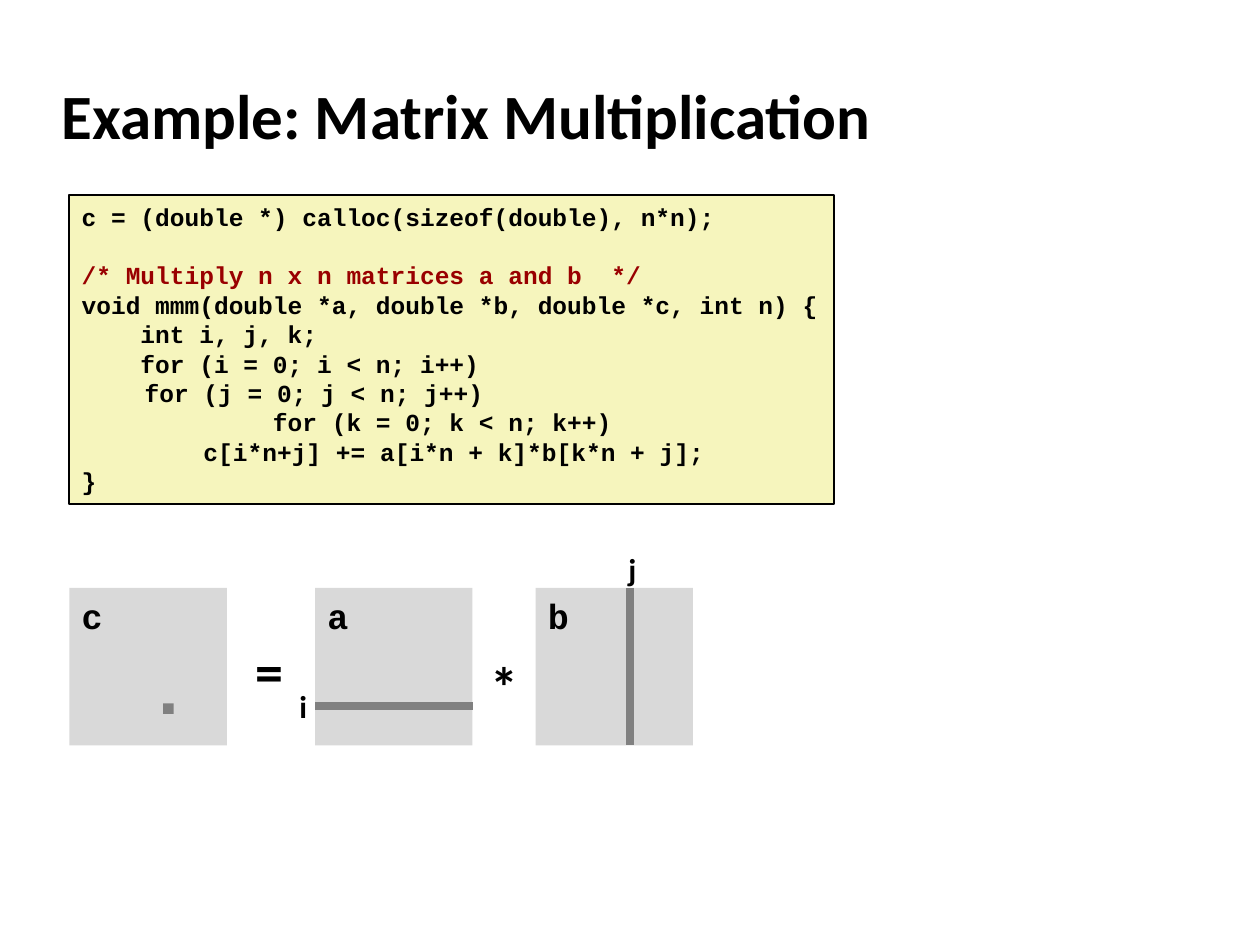
from lxml import etree
from pptx import Presentation
from pptx.dml.color import RGBColor
from pptx.enum import shapes, text
from pptx.oxml.ns import qn
from pptx.util import Pt

BLACK = RGBColor(0x00, 0x00, 0x00)
RED = RGBColor(0x99, 0x00, 0x00)
CREAM = RGBColor(0xF6, 0xF5, 0xBD)
LIGHT = RGBColor(0xD9, 0xD9, 0xD9)
GRAY = RGBColor(0x80, 0x80, 0x80)

CODE = """c = (double *) calloc(sizeof(double), n*n);

/* Multiply n x n matrices a and b  */
void mmm(double *a, double *b, double *c, int n) {
    int i, j, k;
    for (i = 0; i < n; i++)
\tfor (j = 0; j < n; j++)
             for (k = 0; k < n; k++)
\t    c[i*n+j] += a[i*n + k]*b[k*n + j];
}"""


def add_run(p, words, font, size, color=BLACK):
    p.alignment = text.PP_ALIGN.LEFT
    r = p.add_run()
    r.text = words
    r.font.name, r.font.size, r.font.bold = font, Pt(size), True
    r.font.color.rgb = color


def add_box(x, y, w, h, fill):
    """Add a flat rectangle without an outline."""
    sp = s.shapes.add_shape(shapes.MSO_SHAPE.RECTANGLE, Pt(x), Pt(y), Pt(w), Pt(h))
    sp.shadow.inherit = False
    sp.fill.solid()
    sp.fill.fore_color.rgb = fill
    sp.line.fill.background()
    sp.text_frame.vertical_anchor = text.MSO_ANCHOR.TOP
    return sp


prs = Presentation()
prs.slide_width, prs.slide_height = Pt(720), Pt(540)
s = prs.slides.add_slide(prs.slide_layouts[5])

title = s.shapes.title
title.left, title.top, title.width, title.height = Pt(28), Pt(35.5), Pt(598), Pt(60)
title.text_frame.vertical_anchor = text.MSO_ANCHOR.MIDDLE
add_run(title.text_frame.paragraphs[0], "Example: Matrix Multiplication", "Calibri", 36)

# Matrices, with the row, column and element in use
SIDE, TOP = 90, 336
C_X, A_X, B_X = 39.6, 180, 306
ROW_Y, COLUMN_X = 403.2, 360
for name, x in (("c", C_X), ("a", A_X), ("b", B_X)):
    matrix = add_box(x, TOP, SIDE, SIDE, LIGHT)
    add_run(matrix.text_frame.paragraphs[0], name, "Courier New", 20)
add_box(93.3, 402, 6, 6, GRAY)

for x1, y1, x2, y2 in ((A_X, ROW_Y, A_X + SIDE, ROW_Y),
                       (COLUMN_X, TOP, COLUMN_X, TOP + SIDE)):
    line = s.shapes.add_connector(shapes.MSO_CONNECTOR.STRAIGHT,
                                  Pt(x1), Pt(y1), Pt(x2), Pt(y2))
    line.line.color.rgb = GRAY
    line.line.width = Pt(4.5)
    etree.SubElement(line._element.spPr, qn("a:effectLst"))

for words, x, y, w, h, size in (("i", 164, 389, 19, 29, 18),
                                ("j", 352, 310.5, 19, 29, 18),
                                ("*", 273, 368.5, 31, 46, 32),
                                ("=", 139, 360, 31, 46, 32)):
    label = s.shapes.add_textbox(Pt(x), Pt(y), Pt(w), Pt(h))
    label.text_frame.word_wrap = False
    add_run(label.text_frame.paragraphs[0], words, "Calibri", size)

# Code listing
listing = add_box(C_X, 111.6, 437, 176.4, CREAM)
listing.line.color.rgb = BLACK
listing.line.width = Pt(1)
tf = listing.text_frame
tf.word_wrap = False
tf.auto_size = text.MSO_AUTO_SIZE.SHAPE_TO_FIT_TEXT
for n, code_line in enumerate(CODE.split("\n")):
    p = tf.add_paragraph() if n else tf.paragraphs[0]
    p.line_spacing = Pt(16.8)
    if code_line:
        color = RED if code_line.startswith("/*") else BLACK
        add_run(p, code_line, "Courier New", 14, color)
    else:
        etree.SubElement(p._p, qn("a:endParaRPr"), sz="1400")

prs.save("out.pptx")
